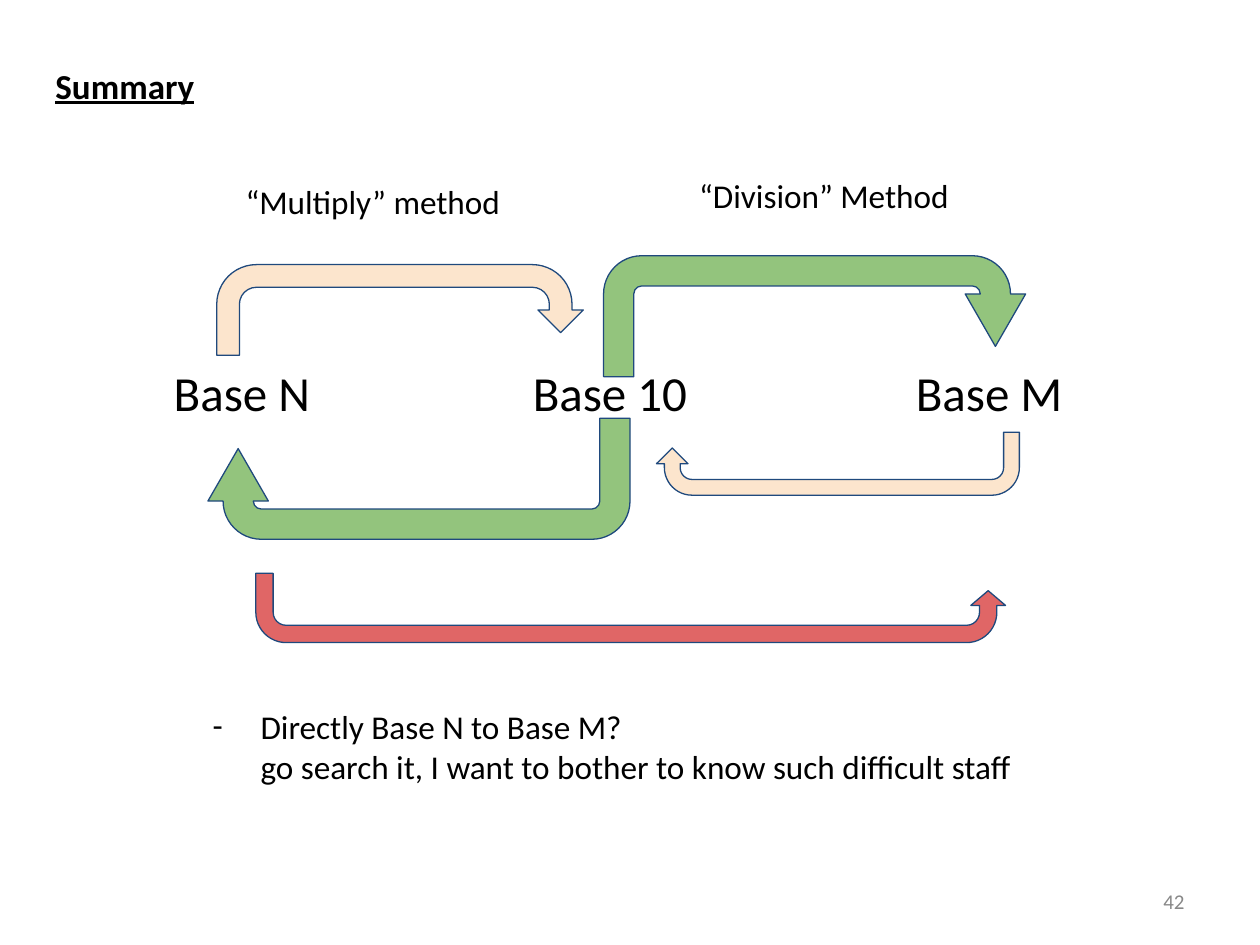
from pptx import Presentation, util as u
from pptx.dml.color import RGBColor
from pptx.enum import shapes, text
from lxml import etree
from pptx.oxml.ns import qn

FONT = "Calibri"
HUES = {"ink": "000000", "gray": "888888", "edge": "1F497D",
        "cream": "FCE5CD", "green": "93C47D", "red": "E06666"}


def hue(name):
    return RGBColor.from_string(HUES[name])


def style(run, size, color="ink", bold=False, under=False):
    font = run.font
    font.name, font.size = FONT, u.Pt(size)
    font.bold, font.underline = bold, under
    font.color.rgb = hue(color)


def frame(shape, anchor=text.MSO_ANCHOR.TOP):
    body = shape.text_frame
    body.word_wrap = True
    body.auto_size = text.MSO_AUTO_SIZE.NONE
    body.vertical_anchor = anchor
    body.margin_left = body.margin_right = u.Inches(0.1)
    body.margin_top = body.margin_bottom = u.Inches(0.05)
    return body.paragraphs[0]


def label(slide, box, words, size, color="ink", anchor=text.MSO_ANCHOR.TOP):
    shape = slide.shapes.add_textbox(*map(u.Inches, box))
    para = frame(shape, anchor)
    run = para.add_run()
    run.text = words
    style(run, size, color)
    return para


def title(slide, box, words):
    shape = slide.shapes.title
    shape.left, shape.top, shape.width, shape.height = map(u.Inches, box)
    para = frame(shape)
    para.alignment = text.PP_ALIGN.LEFT
    run = para.add_run()
    run.text = words
    style(run, 20, bold=True, under=True)


def arrow(slide, box, color, head=0.25, turn=0, flip=False):
    shape = slide.shapes.add_shape(
        shapes.MSO_SHAPE.U_TURN_ARROW, *map(u.Inches, box))
    for i, value in enumerate((0.25, 0.25, head, 0.4375, 0.75)):
        shape.adjustments[i] = value
    shape.rotation = turn
    if flip:
        shape._element.spPr.find(qn("a:xfrm")).set("flipH", "1")
    shape.shadow.inherit = False
    shape.fill.solid()
    shape.fill.fore_color.rgb = hue(color)
    shape.line.color.rgb = hue("edge")
    shape.line.width = u.Pt(0.75)


def diagram(slide, box):
    left, top, wide, high = box
    names = (("Base N", 0), ("Base 10", 2.85), ("Base M", wide - 1.48))
    for words, x in names:
        label(slide, (left + x, top + 1.49, 1.48, 0.79), words, 28)
    methods = (("“Multiply” method", 0.57, 0.05),
               ("“Division” Method", 4.17, 0))
    for words, x, y in methods:
        label(slide, (left + x, top + y, 2.48, 0.64), words, 19)
    arrows = (
        (0.44, 0.76, 2.91, 0.72, "cream", 0.25, 0, False),
        (3.51, 0.69, 3.35, 0.96, "green", 0.434, 0, False),
        (3.93, 2.09, 2.88, 0.5, "cream", 0.25, 180, False),
        (0.37, 1.98, 3.35, 0.96, "green", 0.434, 180, False),
        (0.75, high - 0.55, 5.95, 0.55, "red", 0.213, 180, True))
    for x, y, w, h, color, head, turn, flip in arrows:
        arrow(slide, (left + x, top + y, w, h), color, head, turn, flip)


def note(slide, box, lines):
    para = label(slide, box, lines[0], 19)
    props = para._p.get_or_add_pPr()
    props.set("marL", str(u.Inches(0.5)))
    props.set("indent", str(u.Inches(-0.38)))
    tint = etree.SubElement(props, qn("a:buClr"))
    etree.SubElement(tint, qn("a:srgbClr"), val=HUES["ink"])
    etree.SubElement(props, qn("a:buFont"), typeface=FONT)
    etree.SubElement(props, qn("a:buChar"), char="-")
    for line in lines[1:]:
        para.add_line_break()
        run = para.add_run()
        run.text = line
        style(run, 19)


def number(slide, box, words):
    para = label(slide, box, words, 12, "gray", text.MSO_ANCHOR.MIDDLE)
    para.alignment = text.PP_ALIGN.RIGHT


def main():
    deck = Presentation()
    deck.slide_width, deck.slide_height = u.Inches(10), u.Inches(7.5)
    slide = deck.slides.add_slide(deck.slide_layouts[5])
    title(slide, (0.34, 0.46, 9.38, 0.54), "Summary")
    diagram(slide, (1.28, 1.34, 7.37, 3.76))
    note(slide, (1.47, 5.56, 7.37, 0.79),
         ("Directly Base N to Base M?",
          "go search it, I want to bother to know such difficult staff"))
    number(slide, (7.17, 6.95, 2.33, 0.4), "42")
    deck.save("out.pptx")


if __name__ == "__main__":
    main()
